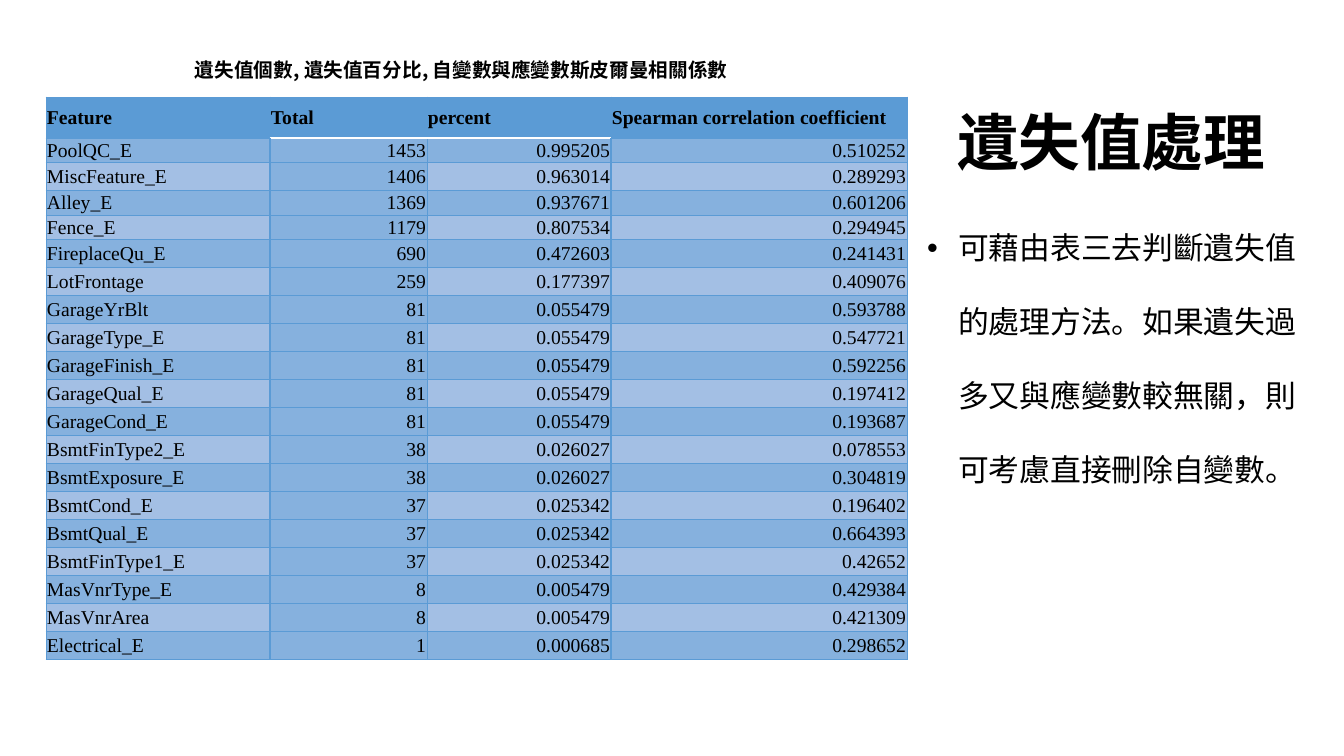
"""Build a slide with a missing-value table and a short note on handling it."""
from lxml import etree
from pptx import Presentation
from pptx import util as u
from pptx.dml.color import RGBColor
from pptx.enum import text
from pptx.oxml.ns import qn

COLOURS = {"ink": "000000", "blue": "5B9BD5", "band": "86B1DE",
           "light": "A3BFE4", "white": "FFFFFF"}
HEADER = ["Feature", "Total", "percent", "Spearman correlation coefficient"]
FEATURES = [
    ("PoolQC_E", "1453", "0.995205", "0.510252"),
    ("MiscFeature_E", "1406", "0.963014", "0.289293"),
    ("Alley_E", "1369", "0.937671", "0.601206"),
    ("Fence_E", "1179", "0.807534", "0.294945"),
    ("FireplaceQu_E", "690", "0.472603", "0.241431"),
    ("LotFrontage", "259", "0.177397", "0.409076"),
    ("GarageYrBlt", "81", "0.055479", "0.593788"),
    ("GarageType_E", "81", "0.055479", "0.547721"),
    ("GarageFinish_E", "81", "0.055479", "0.592256"),
    ("GarageQual_E", "81", "0.055479", "0.197412"),
    ("GarageCond_E", "81", "0.055479", "0.193687"),
    ("BsmtFinType2_E", "38", "0.026027", "0.078553"),
    ("BsmtExposure_E", "38", "0.026027", "0.304819"),
    ("BsmtCond_E", "37", "0.025342", "0.196402"),
    ("BsmtQual_E", "37", "0.025342", "0.664393"),
    ("BsmtFinType1_E", "37", "0.025342", "0.42652"),
    ("MasVnrType_E", "8", "0.005479", "0.429384"),
    ("MasVnrArea", "8", "0.005479", "0.421309"),
    ("Electrical_E", "1", "0.000685", "0.298652"),
]
COLUMN_WIDTHS = [224, 157, 184, 296]
ROW_HEIGHTS = [41, 23, 28, 22, 22] + [28] * 15


def px(length):
    """Turn pixels into EMU."""
    return u.Inches(length / 100.8)


class SlideBuilder:
    """Hold the fonts and the current slide, and add elements to it."""

    def __init__(self, page):
        """Keep the page and the two typefaces."""
        self.page = page
        self.cjk = "Noto Sans CJK SC"
        self.serif = "Times New Roman"

    def style(self, para, face, size, bold=False):
        """Set the font of a whole paragraph."""
        font = para.font
        font.size, font.bold = u.Pt(size), bold
        font.color.rgb = RGBColor.from_string(COLOURS["ink"])
        font.name = face
        etree.SubElement(font._element, qn("a:ea"), typeface=face)

    def set_text(self, box, place, words, size, bold=False):
        """Place a box and fill it with one left-aligned paragraph."""
        box.left, box.top, box.width, box.height = map(px, place)
        frame = box.text_frame
        frame.text = words
        frame.word_wrap = True
        frame.auto_size = text.MSO_AUTO_SIZE.SHAPE_TO_FIT_TEXT
        frame.vertical_anchor = text.MSO_ANCHOR.TOP
        para = frame.paragraphs[0]
        para.alignment = text.PP_ALIGN.LEFT
        para.space_before = u.Pt(0)
        self.style(para, self.cjk, size, bold)
        return para

    def title(self, place, words):
        """Fill the title placeholder."""
        self.set_text(self.page.shapes.title, place, words, 44, True)

    def caption(self, place, words):
        """Add a bold caption."""
        box = self.page.shapes.add_textbox(0, 0, 0, 0)
        self.set_text(box, place, words, 14, True)

    def bullet(self, place, words):
        """Fill the body placeholder with one double-spaced bullet."""
        para = self.set_text(self.page.placeholders[1], place, words, 22)
        para.line_spacing = 2.0
        props = para._p.get_or_add_pPr()
        props.set("marL", str(px(31)))
        props.set("indent", str(-px(31)))
        mark = etree.Element(qn("a:buChar"), char="•")
        props.find(qn("a:defRPr")).addprevious(mark)

    def border(self, cell, side, colour, width):
        """Draw one side of a cell."""
        line = etree.SubElement(cell._tc.get_or_add_tcPr(), qn("a:ln" + side),
                                w=str(u.Pt(width)))
        fill = etree.SubElement(line, qn("a:solidFill"))
        etree.SubElement(fill, qn("a:srgbClr"), val=COLOURS[colour])

    def cell(self, cell, words, row, column):
        """Fill and format one table cell."""
        middle = column in (1, 2)
        thick = {"L": column in (1, 3), "R": column in (0, 2)}
        for side in "LRTB":
            rule = middle and (row, side) in ((0, "B"), (1, "T"))
            heavy = rule or (row > 0 and thick.get(side, False))
            self.border(cell, side, "white" if rule else "blue",
                        1 if heavy else 0.5)
        banded = row % 2 == 1 or column == 1
        colour = "blue" if row == 0 else "band" if banded else "light"
        cell.fill.solid()
        cell.fill.fore_color.rgb = RGBColor.from_string(COLOURS[colour])
        cell.margin_left = cell.margin_right = cell.margin_top = px(1)
        cell.margin_bottom = 0
        cell.vertical_anchor = text.MSO_ANCHOR.MIDDLE
        cell.text = words
        para = cell.text_frame.paragraphs[0]
        if row and column:
            para.alignment = text.PP_ALIGN.RIGHT
        self.style(para, self.serif, 14, row == 0)

    def table(self, left, top, rows):
        """Add the feature table."""
        grid = self.page.shapes.add_table(
            len(rows), len(COLUMN_WIDTHS), px(left), px(top),
            px(sum(COLUMN_WIDTHS)), px(sum(ROW_HEIGHTS))).table
        for column, width in zip(grid.columns, COLUMN_WIDTHS):
            column.width = px(width)
        for line, height in zip(grid.rows, ROW_HEIGHTS):
            line.height = px(height)
        for row, values in enumerate(rows):
            for column, words in enumerate(values):
                self.cell(grid.cell(row, column), words, row, column)


def main():
    """Build and save the deck."""
    deck = Presentation()
    deck.slide_width, deck.slide_height = px(1344), px(756)
    builder = SlideBuilder(deck.slides.add_slide(deck.slide_layouts[1]))
    builder.table(46, 97, [HEADER] + FEATURES)
    builder.caption((185, 53, 583, 34),
                    "遺失值個數, 遺失值百分比, 自變數與應變數斯皮爾曼相關係數")
    builder.title((947, 99, 335, 85), "遺失值處理")
    builder.bullet((917, 187, 416, 297),
                   "可藉由表三去判斷遺失值的處理方法。如果遺失過多又與應變數較無關，"
                   "則可考慮直接刪除自變數。")
    deck.save("out.pptx")


if __name__ == "__main__":
    main()
